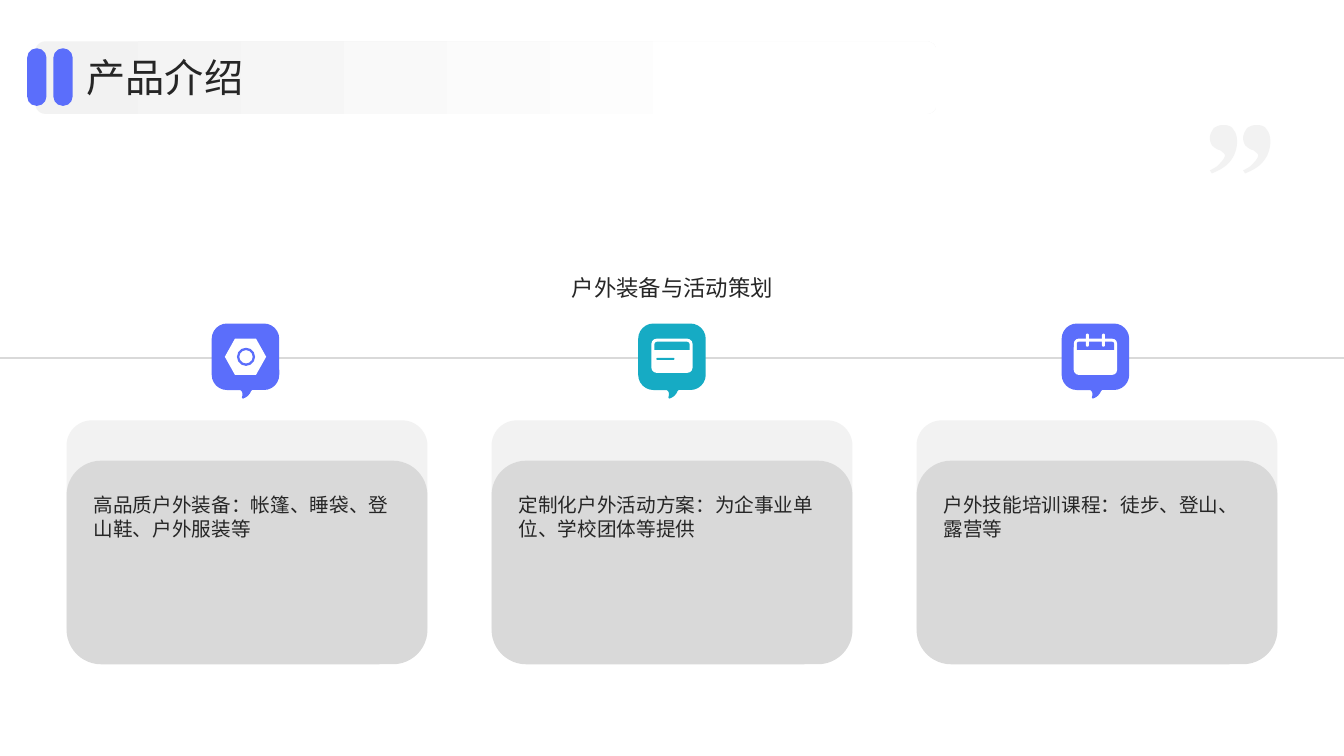
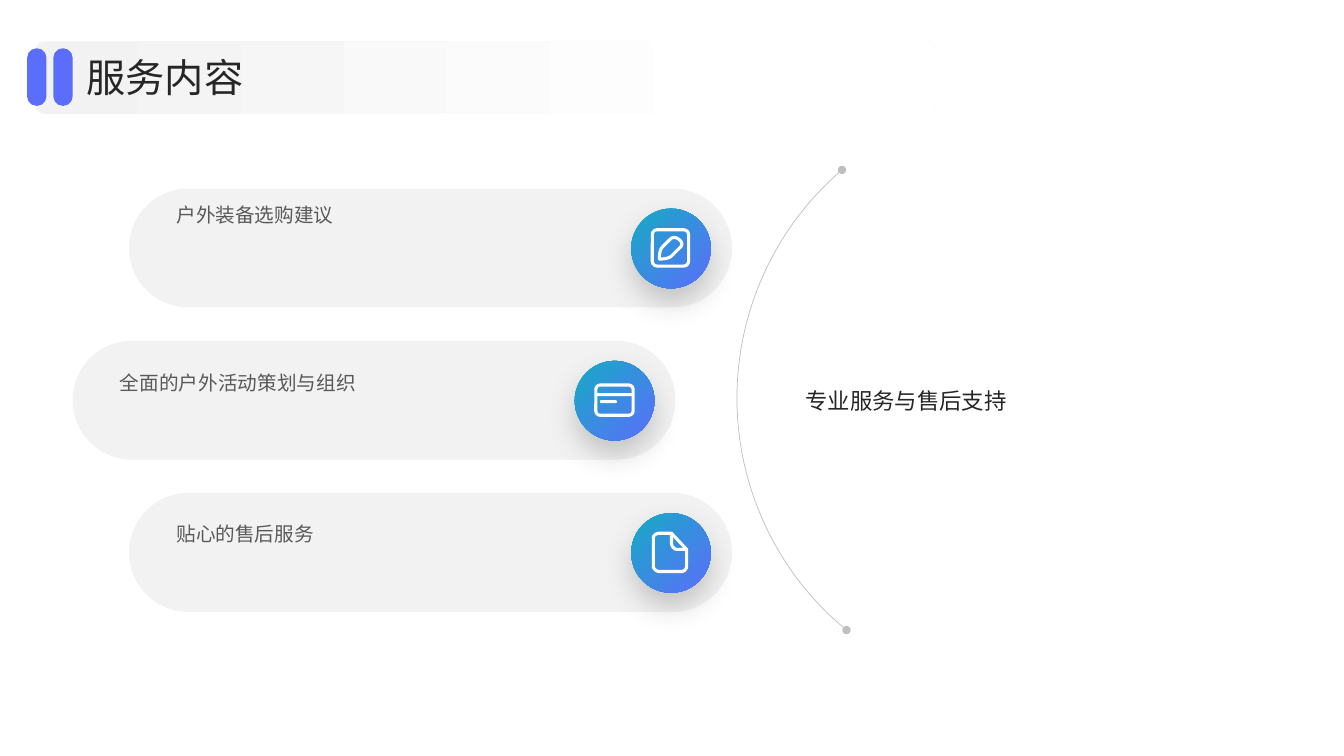
from lxml import etree
from pptx import Presentation
from pptx.dml.color import RGBColor
from pptx.enum.shapes import MSO_CONNECTOR, MSO_SHAPE
from pptx.enum.text import MSO_ANCHOR, MSO_AUTO_SIZE, PP_ALIGN
from pptx.oxml.ns import qn
from pptx.util import Inches, Pt

ROUNDED = MSO_SHAPE.ROUNDED_RECTANGLE
TOP_ROUNDED = MSO_SHAPE.ROUND_2_SAME_RECTANGLE
OVAL, DONUT, HEXAGON, ARC = MSO_SHAPE.OVAL, MSO_SHAPE.DONUT, MSO_SHAPE.HEXAGON, MSO_SHAPE.ARC
TOP, MIDDLE, BOTTOM = MSO_ANCHOR.TOP, MSO_ANCHOR.MIDDLE, MSO_ANCHOR.BOTTOM
LEFT, CENTER = PP_ALIGN.LEFT, PP_ALIGN.CENTER

FONT = "Noto Sans CJK SC"
BLUE, TEAL, WHITE = "5B6EFB", "16ABC4", "FFFFFF"
PALE, SILVER, GRAY = "F2F2F2", "D9D9D9", "BFBFBF"
INK, SOFT_INK = "262626", "595959"
HEADER_FADE = (0, (0, PALE), (0.8, WHITE))
BADGE_FADE = (315, (0, TEAL), (1, BLUE))
rgb = RGBColor.from_string

# Outlines: a start point, then lines (x, y) and Bezier curves (three points), in inches.
QUOTE_MARK = [
    (0.02, 0.48), (0, 0.45), (0.04, 0.43, 0.08, 0.41, 0.10, 0.38),
    (0.13, 0.35, 0.15, 0.32, 0.15, 0.30), (0.15, 0.29, 0.13, 0.27, 0.10, 0.25),
    (0.06, 0.24, 0.04, 0.22, 0.02, 0.20), (0.01, 0.18, 0, 0.16, 0, 0.13),
    (0, 0.09, 0.02, 0.06, 0.04, 0.03), (0.07, 0.01, 0.10, 0, 0.13, 0),
    (0.18, 0, 0.21, 0.01, 0.23, 0.04), (0.26, 0.08, 0.27, 0.11, 0.27, 0.17),
    (0.27, 0.21, 0.26, 0.25, 0.24, 0.30), (0.22, 0.34, 0.19, 0.38, 0.15, 0.41),
    (0.11, 0.44, 0.07, 0.46, 0.02, 0.48),
]
PIN_TAIL = [
    (0.27, 0.65), (0.31, 0.67, 0.31, 0.70, 0.30, 0.73),
    (0.30, 0.74, 0.31, 0.75, 0.32, 0.74), (0.35, 0.73, 0.38, 0.70, 0.39, 0.67),
    (0.41, 0.65),
]
PEN = [
    (0.09, 0.30), (0.09, 0.27, 0.09, 0.21, 0.12, 0.18), (0.20, 0.10),
    (0.22, 0.08, 0.26, 0.08, 0.29, 0.11), (0.32, 0.13, 0.32, 0.17, 0.29, 0.19),
    (0.21, 0.27), (0.19, 0.29, 0.14, 0.30, 0.09, 0.30),
]
PAGE = [
    (0.20, 0.01), (0.07, 0.01), (0.04, 0.01, 0.01, 0.03, 0.01, 0.06), (0.01, 0.34),
    (0.01, 0.36, 0.04, 0.39, 0.07, 0.39), (0.29, 0.39),
    (0.32, 0.39, 0.34, 0.36, 0.34, 0.34), (0.34, 0.17), (0.19, 0.01),
]
PAGE_FOLD = [(0.19, 0.01), (0.19, 0.11), (0.19, 0.14, 0.22, 0.17, 0.24, 0.17), (0.34, 0.17)]


def add_shape(slide, outline, box, fill=None, line=None, weight=2.2, rounding=None):
    """Draw a preset in box, or a list of segments from the corner of box."""
    if isinstance(outline, list):
        points = [outline[0]]
        for segment in outline[1:]:
            if len(segment) == 2:
                points.append(segment)
                continue
            x0, y0 = points[-1]
            x1, y1, x2, y2, x3, y3 = segment
            for step in range(1, 9):
                t = step / 8
                u = 1 - t
                points.append((u**3 * x0 + 3*u*u*t * x1 + 3*u*t*t * x2 + t**3 * x3,
                               u**3 * y0 + 3*u*u*t * y1 + 3*u*t*t * y2 + t**3 * y3))
        corners = [(Inches(box[0] + x), Inches(box[1] + y)) for x, y in points]
        builder = slide.shapes.build_freeform(*corners[0])
        builder.add_line_segments(corners[1:], close=fill is not None)
        shape = builder.convert_to_shape()
    else:
        shape = slide.shapes.add_shape(outline, *map(Inches, box))
    shape.shadow.inherit = False
    if rounding is not None:
        shape.adjustments[0] = rounding
    if fill is None:
        shape.fill.background()
    elif isinstance(fill, str):
        shape.fill.solid()
        shape.fill.fore_color.rgb = rgb(fill)
    else:
        angle, *stops = fill
        shape.fill.gradient()
        shape.fill.gradient_angle = angle
        for stop, (position, color) in zip(shape.fill.gradient_stops, stops):
            stop.position = position
            stop.color.rgb = rgb(color)
    if line:
        shape.line.color.rgb = rgb(line)
        shape.line.width = Pt(weight)
    else:
        shape.line.fill.background()
    return shape


def write(shape, text, size, color=INK, anchor=TOP, align=LEFT):
    frame = shape.text_frame
    frame.text = text
    frame.word_wrap = True
    frame.auto_size = MSO_AUTO_SIZE.NONE
    frame.vertical_anchor = anchor
    frame.margin_left = frame.margin_right = frame.margin_top = frame.margin_bottom = 0
    paragraph = frame.paragraphs[0]
    paragraph.alignment = align
    paragraph.font.size = Pt(size)
    paragraph.font.color.rgb = rgb(color)
    paragraph.font.name = FONT
    properties = paragraph._p.pPr.find(qn("a:defRPr"))
    etree.SubElement(properties, qn("a:ea")).set("typeface", FONT)


presentation = Presentation()
presentation.slide_width = Inches(13.33)
presentation.slide_height = Inches(7.5)
layout = presentation.slide_layouts[5]
layout_title = layout.placeholders[0]
layout_title.left, layout_title.top = Inches(0.86), Inches(0.51)
layout_title.width, layout_title.height = Inches(11.67), Inches(0.51)

# Shared header
for title in ("产品介绍", "服务内容"):
    slide = presentation.slides.add_slide(layout)
    write(slide.shapes.title, title, 28, anchor=MIDDLE)
    band = add_shape(slide, ROUNDED, (0.35, 0.41, 8.94, 0.72), HEADER_FADE, rounding=0.14)
    slide.shapes._spTree.insert(2, band._element)
    for left in (0.27, 0.53):
        add_shape(slide, ROUNDED, (left, 0.48, 0.19, 0.57), BLUE, rounding=0.48)
products, services = presentation.slides

# Products: headline, rule, three cards
for left in (12, 12.33):
    add_shape(products, QUOTE_MARK, (left, 1.24), PALE)
headline = products.shapes.add_textbox(Inches(1.48), Inches(1.81), Inches(10.38), Inches(1.18))
write(headline, "户外装备与活动策划", 16, anchor=BOTTOM, align=CENTER)
rule = products.shapes.add_connector(
    MSO_CONNECTOR.STRAIGHT, 0, Inches(3.55), presentation.slide_width, Inches(3.55))
rule.line.color.rgb = rgb(SILVER)
rule.line.width = Pt(1)
etree.SubElement(rule._element.spPr, qn("a:effectLst"))

cards = [
    (2.1, BLUE, "高品质户外装备：帐篷、睡袋、登山鞋、户外服装等"),
    (6.33, TEAL, "定制化户外活动方案：为企事业单位、学校团体等提供"),
    (10.53, BLUE, "户外技能培训课程：徒步、登山、露营等"),
]
for index, (pin_left, color, text) in enumerate(cards):
    left = 0.66 + 4.215 * index
    add_shape(products, ROUNDED, (left, 4.17, 3.58, 2.28), PALE, rounding=0.11)
    add_shape(products, ROUNDED, (left, 4.57, 3.58, 2.02), SILVER, rounding=0.17)
    body = products.shapes.add_textbox(
        Inches(left + 0.27), Inches(4.89), Inches(3.04), Inches(1.41))
    write(body, text, 14)
    add_shape(products, ROUNDED, (pin_left, 3.21, 0.67, 0.66), color, rounding=0.23)
    add_shape(products, PIN_TAIL, (pin_left, 3.21), color)

product_icons = [
    # nut
    (HEXAGON, (2.23, 3.36, 0.41, 0.36), WHITE, 0.28),
    (DONUT, (2.35, 3.45, 0.18, 0.18), BLUE, 0.13),
    # card
    (ROUNDED, (6.46, 3.36, 0.41, 0.34), WHITE, 0.16),
    (TOP_ROUNDED, (6.49, 3.39, 0.35, 0.08), TEAL, 0.35),
    (ROUNDED, (6.51, 3.55, 0.18, 0.02), TEAL, 0.5),
    # calendar
    (ROUNDED, (10.65, 3.36, 0.43, 0.36), WHITE, 0.14),
    (TOP_ROUNDED, (10.68, 3.39, 0.37, 0.08), BLUE, 0.25),
    (ROUNDED, (10.77, 3.31, 0.03, 0.13), WHITE, 0.5),
    (ROUNDED, (10.93, 3.31, 0.03, 0.13), WHITE, 0.5),
]
for outline, box, color, rounding in product_icons:
    add_shape(products, outline, box, color, rounding=rounding)

# Services: three pills with badges beside an arc
pills = [
    (1.28, 0.14, "户外装备选购建议"),
    (0.72, 0.3, "全面的户外活动策划与组织"),
    (1.28, 0.29, "贴心的售后服务"),
]
for index, (left, text_drop, text) in enumerate(pills):
    top = 1.87 + 1.51 * index
    add_shape(services, ROUNDED, (left, top, 5.98, 1.18), PALE, rounding=0.5)
    badge = add_shape(services, OVAL, (left + 4.98, top + 0.2, 0.79, 0.79), BADGE_FADE)
    shadow = etree.SubElement(
        badge._element.spPr.find(qn("a:effectLst")), qn("a:outerShdw"),
        blurRad=str(Pt(20)), dist=str(Pt(10)), dir="5400000", algn="t", rotWithShape="0")
    shadow_color = etree.SubElement(shadow, qn("a:srgbClr"), val=SOFT_INK)
    etree.SubElement(shadow_color, qn("a:alpha"), val="30000")
    label = services.shapes.add_textbox(
        Inches(left + 0.47), Inches(top + text_drop), Inches(4.21), Inches(0.25))
    write(label, text, 14, SOFT_INK)

service_icons = [
    # pen on a square
    (ROUNDED, (6.47, 2.28, 0.36, 0.36), 0.13),
    (PEN, (6.45, 2.27), None),
    # card
    (ROUNDED, (5.91, 3.82, 0.37, 0.3), 0.14),
    # page
    (PAGE, (6.47, 5.28), None),
    (PAGE_FOLD, (6.47, 5.28), None),
]
for outline, box, rounding in service_icons:
    add_shape(services, outline, box, line=WHITE, rounding=rounding)
for left, top, width in ((5.91, 3.9, 0.37), (5.95, 3.97, 0.17)):
    add_shape(services, ROUNDED, (left, top, width, 0.03), WHITE, rounding=0.5)

summary = services.shapes.add_textbox(Inches(7.99), Inches(2.49), Inches(4.61), Inches(2.96))
write(summary, "专业服务与售后支持", 16, anchor=MIDDLE)
arc = add_shape(services, ARC, (7.31, 0.97, 5.96, 5.96), line=GRAY, weight=0.5)
# Arc angles of 129.45 and 229.44 degrees, in units of 5/3 degree
arc.adjustments[0], arc.adjustments[1] = 77.67, 137.66
arc_line = arc.line._get_or_add_ln()
for end in ("a:headEnd", "a:tailEnd"):
    etree.SubElement(arc_line, qn(end), type="oval")

presentation.save("out.pptx")
